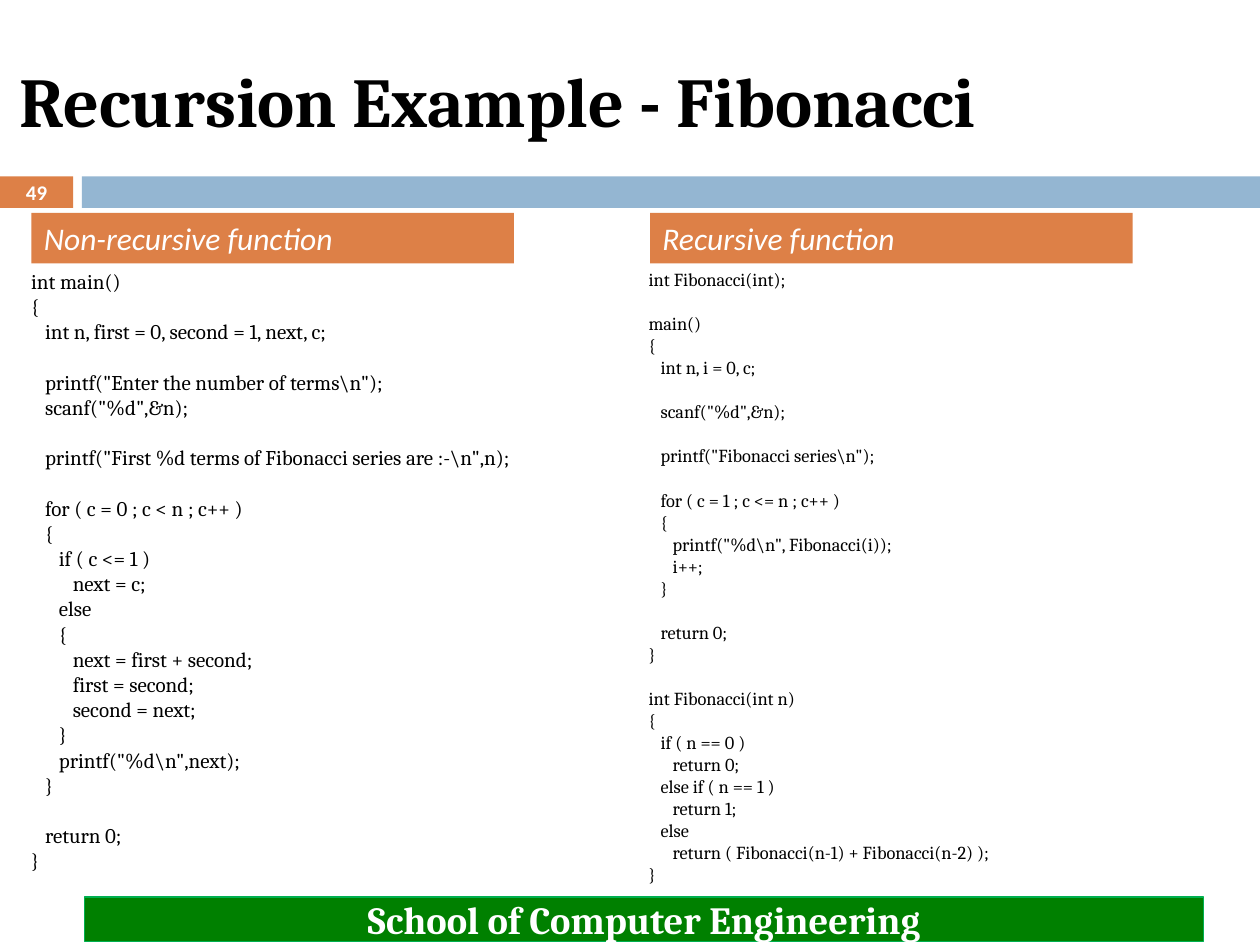
from dataclasses import dataclass

from pptx import Presentation
from pptx.dml.color import RGBColor
from pptx.enum.shapes import MSO_SHAPE
from pptx.enum.text import MSO_ANCHOR, PP_ALIGN
from pptx.util import Inches, Pt

RECTANGLE = MSO_SHAPE.RECTANGLE
TOP, MIDDLE = MSO_ANCHOR.TOP, MSO_ANCHOR.MIDDLE
LEFT, CENTER, JUSTIFY = PP_ALIGN.LEFT, PP_ALIGN.CENTER, PP_ALIGN.JUSTIFY

COLORS = {
    "orange": "DD8047",
    "blue": "94B6D2",
    "green": "008000",
    "green_edge": "00B050",
    "black": "000000",
    "white": "FFFFFF",
}
LINE_HEIGHT = 1.2

LOOP_CODE = r"""int main()
{
   int n, first = 0, second = 1, next, c;

   printf("Enter the number of terms\n");
   scanf("%d",&n);

   printf("First %d terms of Fibonacci series are :-\n",n);

   for ( c = 0 ; c < n ; c++ )
   {
      if ( c <= 1 )
         next = c;
      else
      {
         next = first + second;
         first = second;
         second = next;
      }
      printf("%d\n",next);
   }

   return 0;
}"""

RECURSIVE_CODE = r"""int Fibonacci(int);

main()
{
   int n, i = 0, c;

   scanf("%d",&n);

   printf("Fibonacci series\n");

   for ( c = 1 ; c <= n ; c++ )
   {
      printf("%d\n", Fibonacci(i));
      i++;
   }

   return 0;
}

int Fibonacci(int n)
{
   if ( n == 0 )
      return 0;
   else if ( n == 1 )
      return 1;
   else
      return ( Fibonacci(n-1) + Fibonacci(n-2) );
}"""


@dataclass(frozen=True)
class Box:
    left: float
    top: float
    width: float
    height: float

    def lengths(self) -> tuple:
        """Return the position and size as lengths."""
        return tuple(map(Inches, (self.left, self.top, self.width, self.height)))


@dataclass(frozen=True)
class Style:
    size: float
    font: str = "Cambria"
    color: str = "white"
    bold: bool = False
    italic: bool = False
    align: PP_ALIGN = LEFT
    anchor: MSO_ANCHOR = MIDDLE


@dataclass(frozen=True)
class Column:
    heading: str
    heading_left: float
    code: str
    code_box: Box
    code_size: float


COLUMNS = (
    Column("Non-recursive function", 0.25, LOOP_CODE, Box(0.08, 2.08, 5, 4.95), 12),
    Column("Recursive function", 5.16, RECURSIVE_CODE, Box(4.98, 2.08, 5, 5.05), 10.5),
)


def rgb(name: str) -> RGBColor:
    """Look up a named colour."""
    return RGBColor.from_string(COLORS[name])


def add_bar(slide, box: Box, fill: str, edge: str = ""):
    """Draw a flat filled rectangle."""
    shape = slide.shapes.add_shape(RECTANGLE, *box.lengths())
    shape.shadow.inherit = False
    shape.fill.solid()
    shape.fill.fore_color.rgb = rgb(fill)
    if edge:
        shape.line.color.rgb = rgb(edge)
        shape.line.width = Pt(0.75)
    else:
        shape.line.fill.background()
    return shape


def add_run(paragraph, text: str, style: Style) -> None:
    """Add one styled run to a paragraph."""
    paragraph.alignment = style.align
    run = paragraph.add_run()
    run.text = text
    run.font.name = style.font
    run.font.size = Pt(style.size)
    run.font.bold = style.bold
    run.font.italic = style.italic
    run.font.color.rgb = rgb(style.color)


def write(shape, text: str, style: Style) -> None:
    """Put a single line of text in a shape."""
    frame = shape.text_frame
    frame.word_wrap = True
    frame.vertical_anchor = style.anchor
    add_run(frame.paragraphs[0], text, style)


def add_code(slide, column: Column) -> None:
    """Write a code listing, turning empty lines into paragraph spacing."""
    frame = slide.shapes.add_textbox(*column.code_box.lengths()).text_frame
    frame.word_wrap = True
    style = Style(column.code_size, color="black", align=JUSTIFY)
    paragraph, gap = frame.paragraphs[0], 0
    for index, line in enumerate(column.code.splitlines()):
        if not line:
            gap += column.code_size * LINE_HEIGHT
            continue
        if index:
            paragraph = frame.add_paragraph()
        properties = paragraph._p.get_or_add_pPr()
        properties.set("marL", str(Inches(0.06)))
        properties.set("indent", str(Inches(0.01)))
        if gap:
            paragraph.space_before = Pt(gap)
        add_run(paragraph, line, style)
        gap = 0


def main() -> None:
    """Build the slide and save it."""
    presentation = Presentation()
    presentation.slide_width, presentation.slide_height = Inches(10), Inches(7.5)
    slide = presentation.slides.add_slide(presentation.slide_layouts[6])

    add_bar(slide, Box(0, 1.4, 0.58, 0.25), "orange")
    add_bar(slide, Box(0.65, 1.4, 9.35, 0.25), "blue")
    title = slide.shapes.add_textbox(*Box(0.06, 0.25, 8.92, 1.08).lengths())
    write(title, "Recursion Example - Fibonacci", Style(40, color="black", bold=True))
    number = slide.shapes.add_textbox(*Box(0, 1.39, 0.58, 0.27).lengths())
    write(number, "49", Style(11.9, "Calibri", bold=True, align=CENTER))
    footer = add_bar(slide, Box(0.67, 7.12, 8.88, 0.35), "green", "green_edge")
    write(footer, "School of Computer Engineering", Style(22, bold=True, align=CENTER))

    heading_style = Style(18, "Calibri", italic=True, anchor=TOP)
    for column in COLUMNS:
        add_code(slide, column)
        heading = add_bar(slide, Box(column.heading_left, 1.69, 3.83, 0.4), "orange")
        write(heading, column.heading, heading_style)

    presentation.save("out.pptx")


if __name__ == "__main__":
    main()
